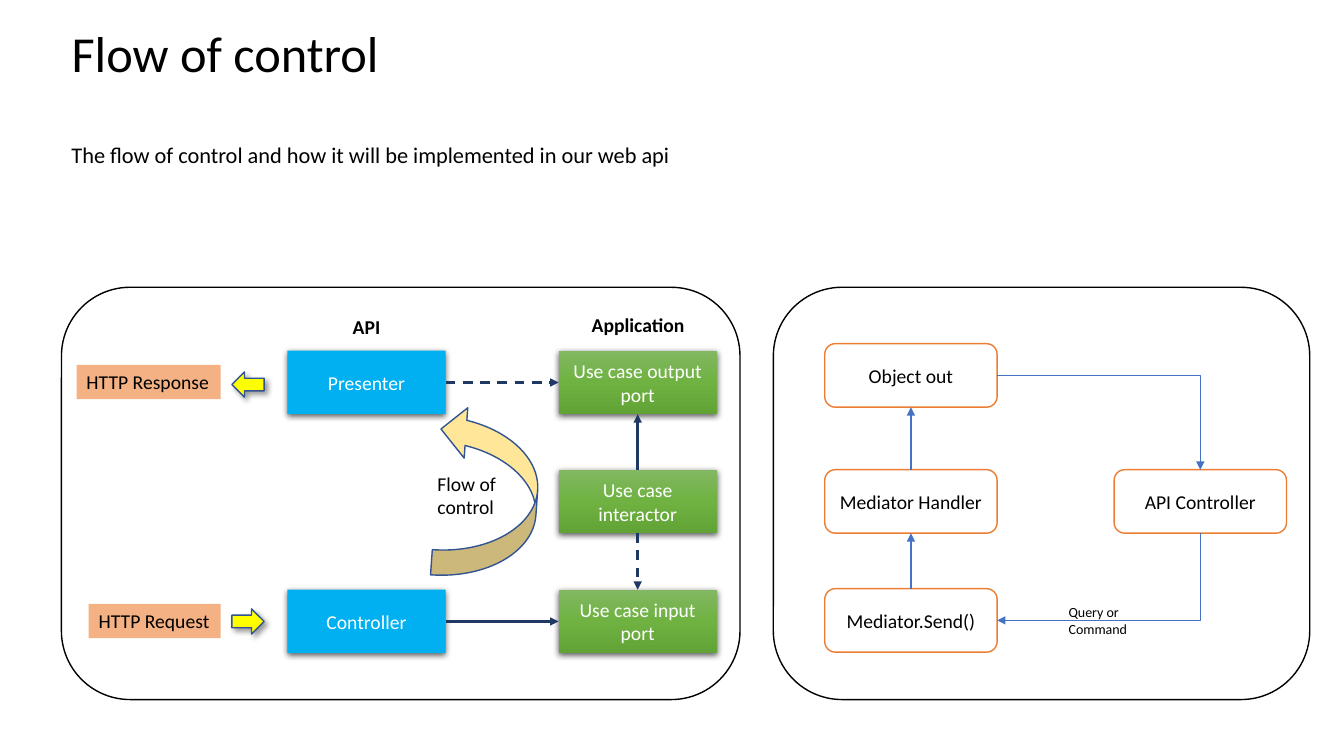
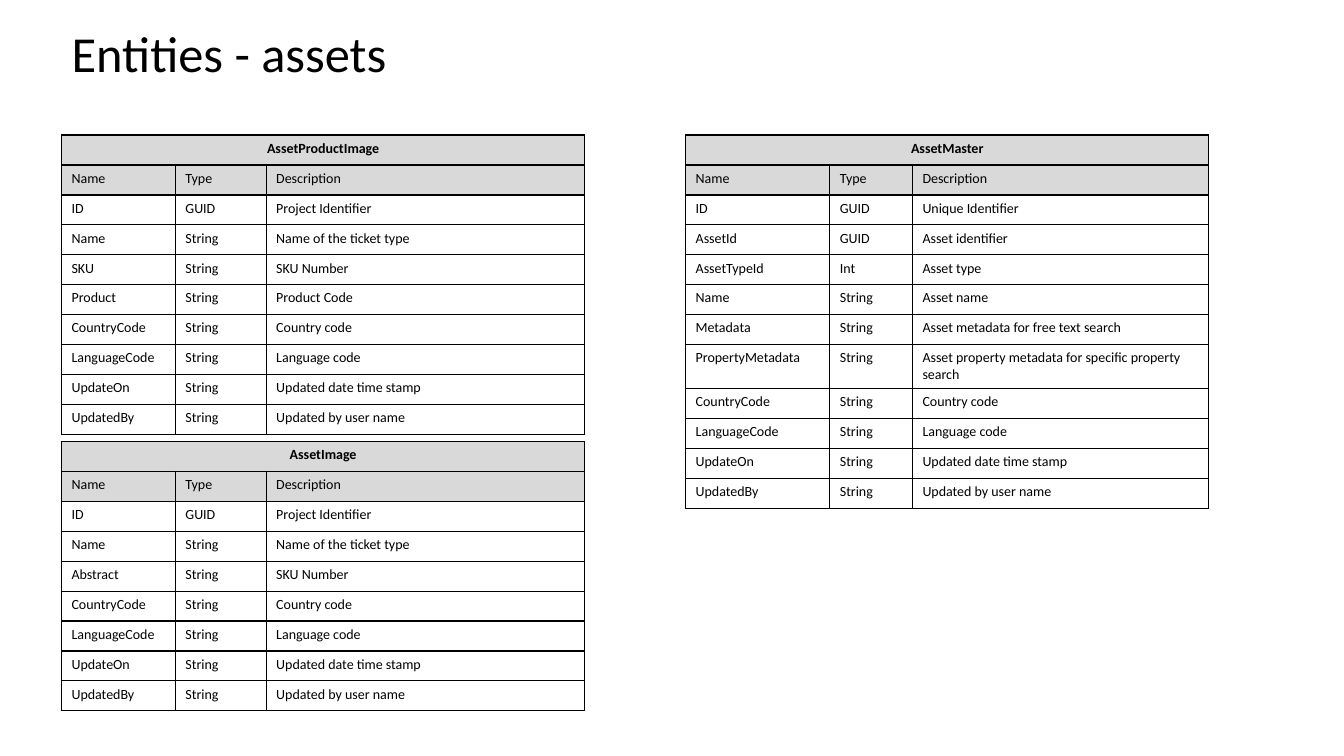
"""Build two slides: the flow of control and the asset entities."""
import copy

import pptx
import pptx.dml.color
import pptx.enum.dml
import pptx.enum.shapes
import pptx.enum.text
import pptx.oxml
import pptx.oxml.ns
import pptx.util

RGBColor = pptx.dml.color.RGBColor
Inches = pptx.util.Inches
Pt = pptx.util.Pt
qn = pptx.oxml.ns.qn
SHAPE = pptx.enum.shapes.MSO_SHAPE
CONNECTOR = pptx.enum.shapes.MSO_CONNECTOR
ALIGN = pptx.enum.text.PP_ALIGN
ANCHOR = pptx.enum.text.MSO_ANCHOR
DASH = pptx.enum.dml.MSO_LINE

BLACK = RGBColor(0x00, 0x00, 0x00)
WHITE = RGBColor(0xFF, 0xFF, 0xFF)
GREENS = [RGBColor(0x81, 0xB8, 0x61), RGBColor(0x6F, 0xB2, 0x42), RGBColor(0x62, 0xA3, 0x36)]
SKY = RGBColor(0x00, 0xB0, 0xF0)
NAVY = RGBColor(0x20, 0x38, 0x64)
BLUE = RGBColor(0x44, 0x72, 0xC4)
EDGE_BLUE = RGBColor(0x32, 0x54, 0x91)
CREAM = RGBColor(0xFF, 0xE6, 0x99)
PEACH = RGBColor(0xF4, 0xB1, 0x83)
YELLOW = RGBColor(0xFF, 0xFF, 0x00)
ORANGE = RGBColor(0xED, 0x7D, 0x31)
GREY = RGBColor(0xD9, 0xD9, 0xD9)

FONT = "Calibri"
LEFT = 0.61
CONTENT_WIDTH = 12.11
DRAWING = 'xmlns:a="http://schemas.openxmlformats.org/drawingml/2006/main"'
BOX_SHADOW = (63, 4.5, 1.5, 90)
ARROW_SHADOW = (40, 4, 3, 45)


def write_text(frame, words, size, color=BLACK, align=ALIGN.LEFT, bold=False):
    """Fill a text frame, one paragraph a line, in the shared font."""
    frame.text = words
    for para in frame.paragraphs:
        para.alignment = align
        for span in para.runs:
            for name, value in {"name": FONT, "size": Pt(size), "bold": bold}.items():
                setattr(span.font, name, value)
            span.font.color.rgb = color


def add_box(page, kind, place, fill, line=None, words="", color=BLACK, shadow=None,
            align=ALIGN.CENTER, anchor=ANCHOR.MIDDLE, wrap=True):
    """Add a preset shape with its fill, outline, shadow and text."""
    box = page.shapes.add_shape(kind, *map(Inches, place))
    box.shadow.inherit = False
    if isinstance(fill, list):
        box.fill.gradient()
        box.fill.gradient_angle = 270
        stops = box._element.spPr.find(".//" + qn("a:gsLst"))
        stops.append(copy.deepcopy(stops[0]))
        for index, stop in enumerate(box.fill.gradient_stops):
            stop.position = index / 2
            stop.color.rgb = fill[index]
    else:
        box.fill.solid()
        box.fill.fore_color.rgb = fill
    if line is None:
        box.line.fill.background()
    else:
        box.line.color.rgb = line
        box.line.width = Pt(1)
    if shadow:
        alpha, blur, distance, angle = shadow
        box._element.spPr.find(qn("a:effectLst")).append(pptx.oxml.parse_xml(
            f'<a:outerShdw {DRAWING} blurRad="{Pt(blur)}" dist="{Pt(distance)}" '
            f'dir="{angle * 60000}" algn="ctr" rotWithShape="0"><a:srgbClr val="000000">'
            f'<a:alpha val="{alpha * 1000}"/></a:srgbClr></a:outerShdw>'))
    box.text_frame.word_wrap = wrap
    box.text_frame.vertical_anchor = anchor
    if words:
        write_text(box.text_frame, words, 14, color, align)
    return box


deck = pptx.Presentation()
deck.slide_width, deck.slide_height = Inches(13.33), Inches(7.5)

pages = []
for heading in ("Flow of control", "Entities - assets"):
    page = deck.slides.add_slide(deck.slide_layouts[5])
    title = page.shapes.title
    for name, value in {"left": LEFT, "top": -0.01, "width": CONTENT_WIDTH, "height": 1.14}.items():
        setattr(title, name, Inches(value))
    write_text(title.text_frame, heading, 36)
    title.text_frame.vertical_anchor = ANCHOR.MIDDLE
    title.text_frame.auto_size = pptx.enum.text.MSO_AUTO_SIZE.NONE
    title.text_frame.paragraphs[0].line_spacing = 0.9
    pages.append(page)
flow, entities = pages

PANEL_TOP, PANEL_HEIGHT = 2.85, 4.09
for left, width in ((7.67, 5.32), (LEFT, 6.73)):
    add_box(flow, SHAPE.ROUNDED_RECTANGLE, (left, PANEL_TOP, width, PANEL_HEIGHT), WHITE, BLACK)

API_LEFT, APP_LEFT, MEDIATOR_LEFT, CONTROLLER_LEFT = 2.85, 5.54, 8.18, 11.05
LAYER_WIDTH, MEDIATOR_WIDTH, BOX_HEIGHT = 1.57, 1.71, 0.63
TOP_ROW, MIDDLE_ROW, BOTTOM_ROW = 3.48, 4.66, 5.85
boxes = {}
for words, left, top, fill in (
    ("Use case output port", APP_LEFT, TOP_ROW, GREENS),
    ("Use case interactor", APP_LEFT, MIDDLE_ROW, GREENS),
    ("Use case input port", APP_LEFT, BOTTOM_ROW, GREENS),
    ("Controller", API_LEFT, BOTTOM_ROW, SKY),
    ("Presenter", API_LEFT, TOP_ROW, SKY),
):
    boxes[words] = add_box(flow, SHAPE.RECTANGLE, (left, top, LAYER_WIDTH, BOX_HEIGHT),
                           fill, words=words, color=WHITE, shadow=BOX_SHADOW)
for words, left, top in (
    ("Object out", MEDIATOR_LEFT, 3.41),
    ("Mediator Handler", MEDIATOR_LEFT, MIDDLE_ROW),
    ("Mediator.Send()", MEDIATOR_LEFT, 5.84),
    ("API Controller", CONTROLLER_LEFT, MIDDLE_ROW),
):
    boxes[words] = add_box(flow, SHAPE.ROUNDED_RECTANGLE, (left, top, MEDIATOR_WIDTH, BOX_HEIGHT),
                           WHITE, ORANGE, words)

SITE_TOP, SITE_LEFT, SITE_BOTTOM, SITE_RIGHT = range(4)
for start, start_site, finish, finish_site, color, width, dashed, bent, arrow in (
    ("Controller", SITE_RIGHT, "Use case input port", SITE_LEFT, NAVY, 1.75, False, False, "tailEnd"),
    ("Use case interactor", SITE_BOTTOM, "Use case input port", SITE_TOP, NAVY, 1.75, True, False, "tailEnd"),
    ("Use case interactor", SITE_TOP, "Use case output port", SITE_BOTTOM, NAVY, 1.75, False, False, "tailEnd"),
    ("Presenter", SITE_RIGHT, "Use case output port", SITE_LEFT, NAVY, 1.75, True, False, "tailEnd"),
    ("Mediator.Send()", SITE_TOP, "Mediator Handler", SITE_BOTTOM, BLUE, 1.75, False, False, "tailEnd"),
    ("Mediator Handler", SITE_TOP, "Object out", SITE_BOTTOM, BLUE, 1.75, False, False, "tailEnd"),
    ("Mediator.Send()", SITE_RIGHT, "API Controller", SITE_BOTTOM, BLUE, 0.5, False, True, "headEnd"),
    ("Object out", SITE_RIGHT, "API Controller", SITE_TOP, BLUE, 0.5, False, True, "tailEnd"),
):
    link = flow.shapes.add_connector(CONNECTOR.ELBOW if bent else CONNECTOR.STRAIGHT, 0, 0, 0, 0)
    link.begin_connect(boxes[start], start_site)
    link.end_connect(boxes[finish], finish_site)
    link.line.color.rgb = color
    link.line.width = Pt(width)
    if dashed:
        link.line.dash_style = DASH.DASH
    properties = link._element.spPr
    if bent:
        properties.find(qn("a:prstGeom")).set("prst", "bentConnector2")
    properties.find(qn("a:ln")).append(pptx.oxml.parse_xml(f'<a:{arrow} {DRAWING} type="triangle"/>'))
    properties.append(pptx.oxml.parse_xml(f"<a:effectLst {DRAWING}/>"))

curve = add_box(flow, SHAPE.CURVED_UP_ARROW, (3.98, 4.39, 1.7, 1), CREAM, EDGE_BLUE)
curve.rotation = 274.1
for words, left, top, width in (("HTTP Request", 0.88, 5.99, 1.31), ("HTTP Response", 0.76, 3.62, 1.43)):
    add_box(flow, SHAPE.RECTANGLE, (left, top, width, 0.34), PEACH, words=words,
            align=ALIGN.LEFT, anchor=ANCHOR.TOP, wrap=False)
for kind, top in ((SHAPE.RIGHT_ARROW, 6.04), (SHAPE.LEFT_ARROW, 3.69)):
    add_box(flow, kind, (2.3, top, 0.32, 0.25), YELLOW, EDGE_BLUE, shadow=ARROW_SHADOW)

for words, place, size, bold, wrap in (
    ("The flow of control and how it will be implemented in our web api",
     (LEFT, 1.35, CONTENT_WIDTH, 0.37), 16, False, True),
    ("Flow of\ncontrol", (4.24, 4.63, 0.83, 0.57), 14, False, False),
    ("Application", (5.77, 3.06, 1.13, 0.34), 14, True, False),
    ("API", (3.4, 3.08, 0.48, 0.34), 14, True, False),
    ("Query or\nCommand", (10.5, 5.94, 0.79, 0.44), 10, False, False),
):
    label = flow.shapes.add_textbox(*map(Inches, place))
    label.text_frame.word_wrap = wrap
    write_text(label.text_frame, words, size, bold=bold)

COLUMN_HEADS = ("Name", "Type", "Description")
COUNTRY = ("CountryCode", "String", "Country code")
AUDIT = [
    ("LanguageCode", "String", "Language code"),
    ("UpdateOn", "String", "Updated date time stamp"),
    ("UpdatedBy", "String", "Updated by user name"),
]
TICKET = [("ID", "GUID", "Project Identifier"), ("Name", "String", "Name of the ticket type")]
NARROW_COLUMNS, WIDE_COLUMNS = (1.13, 0.9, 3.16), (1.43, 0.82, 2.94)
ROW_HEIGHT = 2.97 / 10
for heading, left, top, widths, fields in (
    ("AssetProductImage", LEFT, 1.34, NARROW_COLUMNS, TICKET + [
        ("SKU", "String", "SKU Number"),
        ("Product", "String", "Product Code"),
        COUNTRY]),
    ("AssetImage", LEFT, 4.38, NARROW_COLUMNS, TICKET + [
        ("Abstract", "String", "SKU Number"),
        COUNTRY]),
    ("AssetMaster", 6.8, 1.34, WIDE_COLUMNS, [
        ("ID", "GUID", "Unique Identifier"),
        ("AssetId", "GUID", "Asset identifier"),
        ("AssetTypeId", "Int", "Asset type"),
        ("Name", "String", "Asset name"),
        ("Metadata", "String", "Asset metadata for free text search"),
        ("PropertyMetadata", "String", "Asset property metadata for specific property search"),
        COUNTRY]),
):
    rows = [(heading, "", ""), COLUMN_HEADS] + fields + AUDIT
    table = entities.shapes.add_table(len(rows), len(widths), Inches(left), Inches(top),
                                      Inches(sum(widths)), Inches(ROW_HEIGHT * len(rows))).table
    for name in ("first_row", "horz_banding"):
        setattr(table, name, False)
    for column, width in zip(table.columns, widths):
        column.width = Inches(width)
    for row_index, values in enumerate(rows):
        table.rows[row_index].height = Inches(ROW_HEIGHT)
        for column_index, words in enumerate(values):
            cell = table.cell(row_index, column_index)
            is_heading = row_index == 0
            write_text(cell.text_frame, words, 10, bold=is_heading,
                       align=ALIGN.CENTER if is_heading else ALIGN.LEFT)
            for side in ("lnL", "lnR", "lnT", "lnB"):
                cell._tc.get_or_add_tcPr().append(pptx.oxml.parse_xml(
                    f'<a:{side} {DRAWING} w="{Pt(1)}"><a:solidFill>'
                    f'<a:srgbClr val="{BLACK}"/></a:solidFill></a:{side}>'))
            if row_index < 2:
                cell.fill.solid()
                cell.fill.fore_color.rgb = GREY
            else:
                cell.fill.background()
    table.cell(0, 0).merge(table.cell(0, len(widths) - 1))

deck.save("out.pptx")
